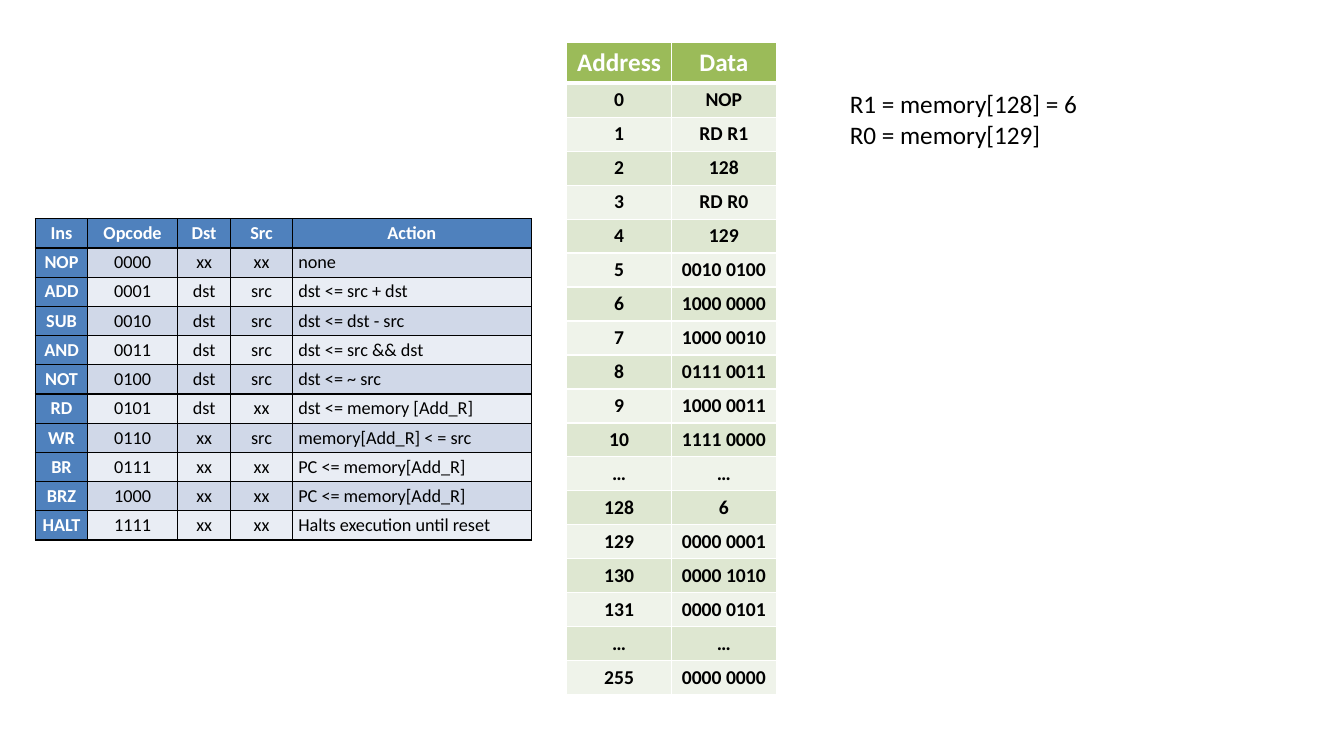
"""Build a slide with an instruction set, a memory listing and register values."""
from dataclasses import dataclass

from lxml import etree
from pptx import Presentation
from pptx import util as u
from pptx.dml.color import RGBColor
from pptx.enum import text
from pptx.oxml.ns import qn

PX = 9144


@dataclass(frozen=True)
class Theme:
    """Hold the colours and type sizes of the slide."""
    font: str = "Calibri"
    white: str = "FFFFFF"
    black: str = "000000"
    green: str = "9BBB59"
    green_bands: tuple = ("DEE7D1", "EFF3EA")
    blue: str = "4F81BD"
    blue_bands: tuple = ("D0D8E8", "E9EDF4")
    large: int = 18
    memory: int = 14
    instruction: int = 13
    thin: int = 1
    thick: int = 3


THEME = Theme()

MEMORY = [
    ("Address", "Data"),
    ("0", "NOP"),
    ("1", "RD R1"),
    ("2", "128"),
    ("3", "RD R0"),
    ("4", "129"),
    ("5", "0010 0100"),
    ("6", "1000 0000"),
    ("7", "1000 0010"),
    ("8", "0111 0011"),
    ("9", "1000 0011"),
    ("10", "1111 0000"),
    ("…", "…"),
    ("128", "6"),
    ("129", "0000 0001"),
    ("130", "0000 1010"),
    ("131", "0000 0101"),
    ("…", "…"),
    ("255", "0000 0000"),
]

INSTRUCTIONS = [
    ("Ins", "Opcode", "Dst", "Src", "Action"),
    ("NOP", "0000", "xx", "xx", "none"),
    ("ADD", "0001", "dst", "src", "dst <= src + dst"),
    ("SUB", "0010", "dst", "src", "dst <= dst - src"),
    ("AND", "0011", "dst", "src", "dst <= src && dst"),
    ("NOT", "0100", "dst", "src", "dst <= ~ src"),
    ("RD", "0101", "dst", "xx", "dst <= memory [Add_R]"),
    ("WR", "0110", "xx", "src", "memory[Add_R] < = src"),
    ("BR", "0111", "xx", "xx", "PC <= memory[Add_R]"),
    ("BRZ", "1000", "xx", "xx", "PC <= memory[Add_R]"),
    ("HALT", "1111", "xx", "xx", "Halts execution until reset"),
]

REGISTERS = ["R1 = memory[128] = 6", "R0 = memory[129]"]


def add_run(paragraph, words, size, color, bold=False):
    """Append one formatted run to a paragraph."""
    run = paragraph.add_run()
    run.text = words
    run.font.name = THEME.font
    run.font.size = u.Pt(size)
    run.font.bold = bold
    run.font.color.rgb = RGBColor.from_string(color)


def set_borders(cell, color, top, bottom):
    """Draw the four edges of a cell, with widths in points."""
    properties = cell._tc.get_or_add_tcPr()
    widths = {"L": THEME.thin, "R": THEME.thin, "T": top, "B": bottom}
    for side, width in widths.items():
        edge = etree.SubElement(properties, qn(f"a:ln{side}"), w=str(u.Pt(width)))
        fill = etree.SubElement(edge, qn("a:solidFill"))
        etree.SubElement(fill, qn("a:srgbClr"), val=color)


def fill_cell(cell, words, size, fill, color, bold, centred=True):
    """Give a cell its fill and its single line of text."""
    cell.fill.solid()
    cell.fill.fore_color.rgb = RGBColor.from_string(fill)
    paragraph = cell.text_frame.paragraphs[0]
    paragraph.alignment = text.PP_ALIGN.CENTER if centred else text.PP_ALIGN.LEFT
    add_run(paragraph, words, size, color, bold)


def add_grid(slide, left, top, columns, heights):
    """Add a plain table with the given column widths and row heights."""
    grid = slide.shapes.add_table(
        len(heights), len(columns), left * PX, top * PX,
        sum(columns) * PX, sum(heights) * PX).table
    grid.first_row = grid.horz_banding = False
    for column, width in zip(grid.columns, columns):
        column.width = width * PX
    for row, height in zip(grid.rows, heights):
        row.height = height * PX
    return grid


def add_memory(slide):
    """Add the table of memory addresses and data."""
    heights = [40] + [33] * (len(MEMORY) - 1)
    memory = add_grid(slide, 562, 42, [104, 104], heights)
    for r, entry in enumerate(MEMORY):
        header = r == 0
        fill = THEME.green if header else THEME.green_bands[(r - 1) % 2]
        size = THEME.large if header else THEME.memory
        color = THEME.white if header else THEME.black
        above = THEME.thick if r == 1 else THEME.thin
        below = THEME.thick if header else THEME.thin
        for c, words in enumerate(entry):
            cell = memory.cell(r, c)
            set_borders(cell, THEME.white, above, below)
            fill_cell(cell, words, size, fill, color, bold=True)


def add_instructions(slide):
    """Add the table of instructions and their actions."""
    columns = [52, 89, 53, 61, 237]
    instructions = add_grid(slide, 35, 217, columns, [29] * len(INSTRUCTIONS))
    action = len(columns) - 1
    for r, instruction in enumerate(INSTRUCTIONS):
        for c, words in enumerate(instruction):
            heading = r == 0 or c == 0
            cell = instructions.cell(r, c)
            cell.margin_left = cell.margin_right = 6 * PX
            cell.margin_top = cell.margin_bottom = 0
            cell.vertical_anchor = text.MSO_ANCHOR.MIDDLE
            set_borders(cell, THEME.black, THEME.thin, THEME.thin)
            fill_cell(cell, words, THEME.instruction,
                      THEME.blue if heading else THEME.blue_bands[(r - 1) % 2],
                      THEME.white if heading else THEME.black,
                      heading, heading or c != action)


def add_registers(slide):
    """Add the register values, one paragraph each."""
    box = slide.shapes.add_textbox(833 * PX, 83 * PX, 333 * PX, 71 * PX)
    frame = box.text_frame
    frame.word_wrap = True
    frame.auto_size = text.MSO_AUTO_SIZE.SHAPE_TO_FIT_TEXT
    for i, value in enumerate(REGISTERS):
        paragraph = frame.add_paragraph() if i else frame.paragraphs[0]
        add_run(paragraph, value, THEME.large, THEME.black)


def main():
    """Build and save the slide."""
    deck = Presentation()
    deck.slide_width, deck.slide_height = 1333 * PX, 750 * PX
    slide = deck.slides.add_slide(deck.slide_layouts[6])
    add_memory(slide)
    add_instructions(slide)
    add_registers(slide)
    deck.save("out.pptx")


if __name__ == "__main__":
    main()
